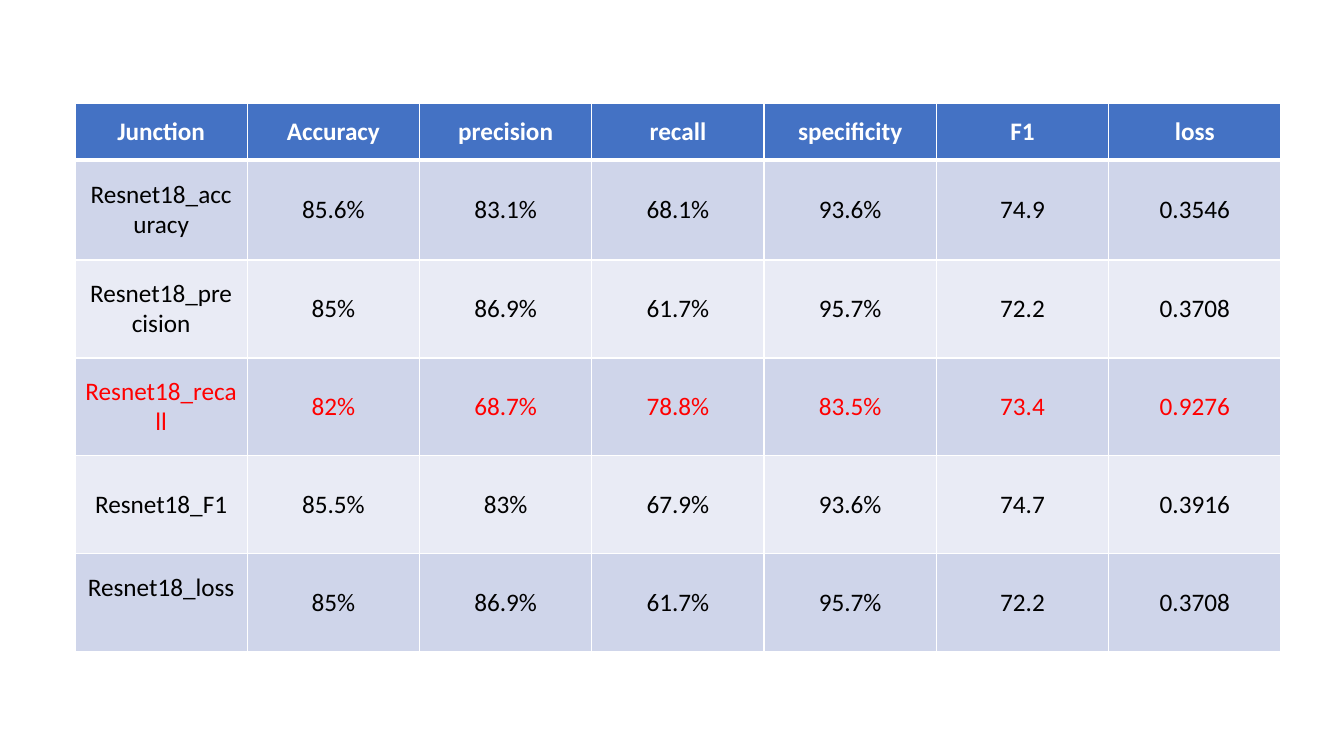
from lxml.etree import SubElement
from pptx import Presentation
from pptx.dml.color import RGBColor
from pptx.enum.text import MSO_ANCHOR, PP_ALIGN
from pptx.oxml.ns import qn
from pptx.util import Pt

HEADINGS = ("Junction", "Accuracy", "precision", "recall", "specificity", "F1", "loss")
RESULTS = [
    ("Resnet18_accuracy", "85.6%", "83.1%", "68.1%", "93.6%", "74.9", "0.3546"),
    ("Resnet18_precision", "85%", "86.9%", "61.7%", "95.7%", "72.2", "0.3708"),
    ("Resnet18_recall", "82%", "68.7%", "78.8%", "83.5%", "73.4", "0.9276"),
    ("Resnet18_F1", "85.5%", "83%", "67.9%", "93.6%", "74.7", "0.3916"),
    ("Resnet18_loss", "85%", "86.9%", "61.7%", "95.7%", "72.2", "0.3708"),
]
HIGHLIGHTED = "Resnet18_recall"
RAISED = "Resnet18_loss"

WHITE = RGBColor(0xFF, 0xFF, 0xFF)
BLACK = RGBColor(0x00, 0x00, 0x00)
RED = RGBColor(0xFF, 0x00, 0x00)
BLUE = RGBColor(0x44, 0x72, 0xC4)
BANDS = (RGBColor(0xCF, 0xD5, 0xEA), RGBColor(0xE9, 0xEB, 0xF5))

LEFT, TOP, WIDTH = 75, 103, 1206
ROW_HEIGHTS = (57, 100, 98, 98, 98, 98)
RAISED_MARGIN = 35


def px(length):
    return round(length * 914400 / 100.8)


def add_borders(cell, top, bottom):
    properties = cell._tc.get_or_add_tcPr()
    for side, points in (("lnL", 1), ("lnR", 1), ("lnT", top), ("lnB", bottom)):
        border = SubElement(properties, qn(f"a:{side}"), w=str(Pt(points)))
        SubElement(SubElement(border, qn("a:solidFill")), qn("a:srgbClr"), val=str(WHITE))


def style_cell(cell, text, fill, color, bold):
    cell.fill.solid()
    cell.fill.fore_color.rgb = fill
    cell.vertical_anchor = MSO_ANCHOR.MIDDLE
    cell.text = text
    paragraph = cell.text_frame.paragraphs[0]
    paragraph.alignment = PP_ALIGN.CENTER
    paragraph.font.name = "Calibri"
    paragraph.font.size = Pt(18)
    paragraph.font.bold = bold
    paragraph.font.color.rgb = color


def main():
    presentation = Presentation()
    presentation.slide_width = px(1344)
    presentation.slide_height = px(756)
    slide = presentation.slides.add_slide(presentation.slide_layouts[6])

    rows = [HEADINGS, *RESULTS]
    metrics = slide.shapes.add_table(
        len(rows), len(HEADINGS), px(LEFT), px(TOP), px(WIDTH), px(sum(ROW_HEIGHTS))
    ).table
    for row, height in zip(metrics.rows, ROW_HEIGHTS):
        row.height = px(height)

    for r, values in enumerate(rows):
        heading = r == 0
        fill = BLUE if heading else BANDS[(r - 1) % 2]
        color = WHITE if heading else RED if values[0] == HIGHLIGHTED else BLACK
        for c, value in enumerate(values):
            cell = metrics.cell(r, c)
            add_borders(cell, top=3 if r == 1 else 1, bottom=3 if heading else 1)
            style_cell(cell, value, fill, color, bold=heading)
            if value == RAISED:
                cell.margin_bottom = px(RAISED_MARGIN)

    presentation.save("out.pptx")


if __name__ == "__main__":
    main()
